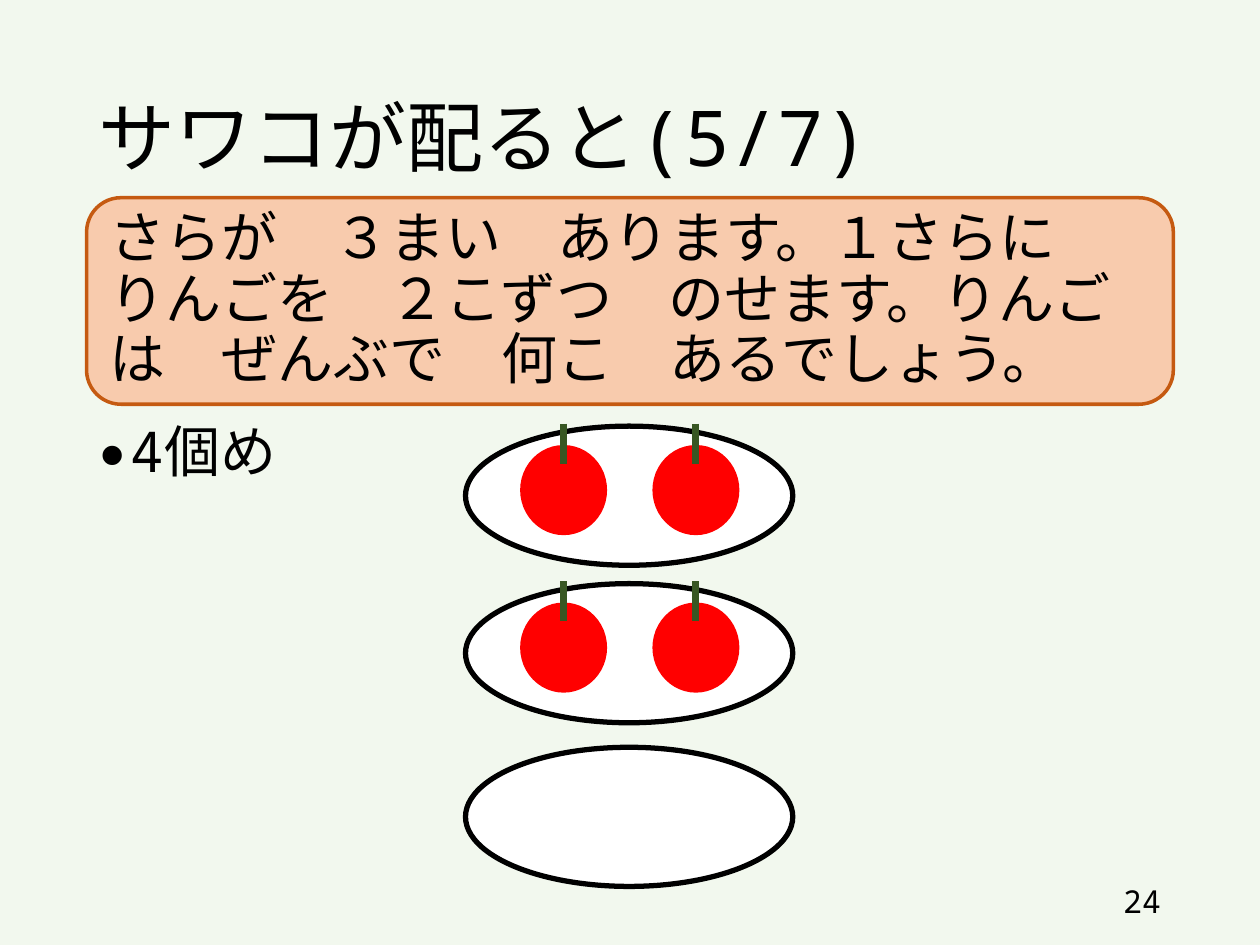
"""Build the plates-and-apples multiplication slide."""
from lxml.etree import SubElement
from pptx import Presentation
from pptx.dml.color import RGBColor
from pptx.enum.shapes import MSO_CONNECTOR, MSO_SHAPE
from pptx.enum.text import MSO_ANCHOR, PP_ALIGN
from pptx.oxml.ns import qn
from pptx.util import Pt

BACKGROUND = RGBColor(0xF2, 0xF8, 0xEE)
BLACK = RGBColor(0, 0, 0)
WHITE = RGBColor(0xFF, 0xFF, 0xFF)
PEACH = RGBColor(0xF8, 0xCB, 0xAD)
ORANGE = RGBColor(0xC5, 0x5A, 0x11)
RED = RGBColor(0xFF, 0, 0)
GREEN = RGBColor(0x38, 0x57, 0x23)
FONT = "Noto Sans Mono"


def write(shape, text, size=32, anchor=MSO_ANCHOR.MIDDLE, align=PP_ALIGN.LEFT,
          spacing=0.9, bullet=None):
    frame = shape.text_frame
    frame.word_wrap = True
    frame.vertical_anchor = anchor
    paragraph = frame.paragraphs[0]
    paragraph.alignment = align
    paragraph.line_spacing = spacing
    if bullet:
        properties = paragraph._p.get_or_add_pPr()
        properties.set("marL", str(Pt(18)))
        properties.set("indent", str(-Pt(18)))
        SubElement(properties, qn("a:buSzPct"), val="80000")
        SubElement(properties, qn("a:buFont"), typeface=FONT)
        SubElement(properties, qn("a:buChar"), char=bullet)
    run = paragraph.add_run()
    run.text = text
    run.font.size = Pt(size)
    run.font.color.rgb = BLACK
    run.font.name = FONT
    SubElement(run._r.get_or_add_rPr(), qn("a:ea"), typeface=FONT)


def draw(shapes, kind, left, top, width, height, fill, line=None, weight=0):
    shape = shapes.add_shape(kind, Pt(left), Pt(top), Pt(width), Pt(height))
    shape.shadow.inherit = False
    shape.fill.solid()
    shape.fill.fore_color.rgb = fill
    if line is None:
        shape.line.fill.background()
    else:
        shape.line.color.rgb = line
        shape.line.width = Pt(weight)
    return shape


deck = Presentation()
deck.slide_width, deck.slide_height = Pt(720), Pt(540)
slide = deck.slides.add_slide(deck.slide_layouts[6])
slide.background.fill.solid()
slide.background.fill.fore_color.rgb = BACKGROUND
shapes = slide.shapes

title = shapes.add_textbox(Pt(49.5), Pt(28.75), Pt(621), Pt(104.4))
write(title, "サワコが配ると(5/7)", size=44)

page_number = shapes.add_textbox(Pt(508.5), Pt(500.5), Pt(162), Pt(28.75))
write(page_number, "24", size=18, align=PP_ALIGN.RIGHT, spacing=1.0)

problem = draw(shapes, MSO_SHAPE.ROUNDED_RECTANGLE, 49.5, 113, 621, 118,
               PEACH, ORANGE, 2)
write(problem, "さらが　３まい　あります。１さらに　りんごを　２こずつ　のせます。"
               "りんごは　ぜんぶで　何こ　あるでしょう。")

step = shapes.add_textbox(Pt(49.5), Pt(239), Pt(621), Pt(247))
write(step, "4個め", anchor=MSO_ANCHOR.TOP, bullet="●")

plate_left = 266
for plate_top, apple_count in ((243.5, 2), (333.5, 2), (427, 0)):
    draw(shapes, MSO_SHAPE.OVAL, plate_left, plate_top, 187, 79.5, WHITE, BLACK, 3)
    for position in range(apple_count):
        apple_left = plate_left + 31.2 + 75.6 * position
        apple = shapes.add_group_shape().shapes
        draw(apple, MSO_SHAPE.OVAL, apple_left, plate_top + 10.8, 49.7, 51.5, RED)
        stem_x = Pt(apple_left + 24.85)
        stem = apple.add_connector(MSO_CONNECTOR.STRAIGHT, stem_x, Pt(plate_top - 1.4),
                                   stem_x, Pt(plate_top + 21.4))
        stem.line.color.rgb = GREEN
        stem.line.width = Pt(4)
        SubElement(stem._element.spPr, qn("a:effectLst"))

deck.save("out.pptx")
